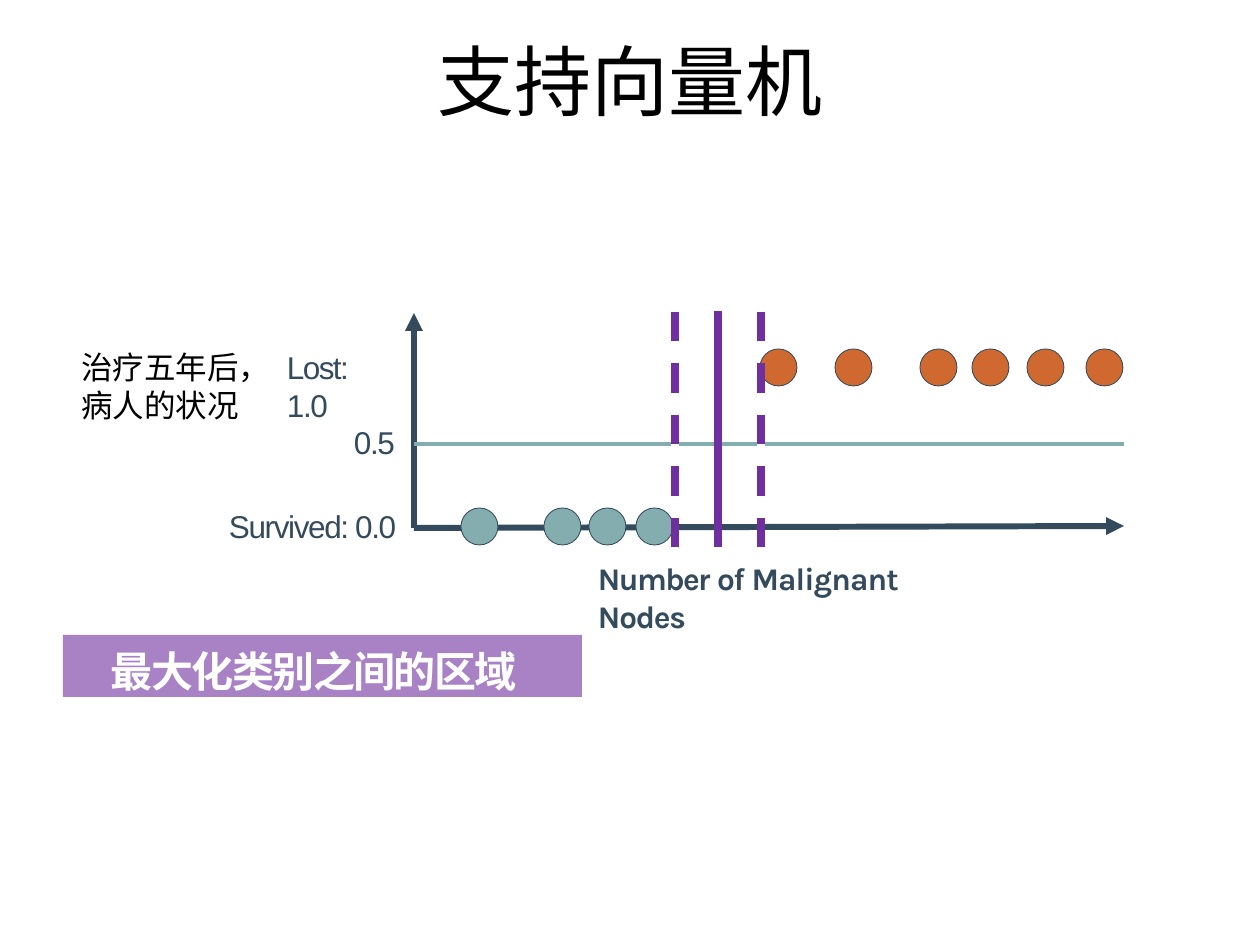
from dataclasses import dataclass

from lxml import etree
from pptx import Presentation
from pptx.dml.color import RGBColor
from pptx.enum.dml import MSO_LINE
from pptx.enum.lang import MSO_LANGUAGE_ID
from pptx.enum.shapes import MSO_CONNECTOR, MSO_SHAPE
from pptx.enum.text import MSO_ANCHOR, MSO_AUTO_SIZE, PP_ALIGN
from pptx.oxml.ns import qn
from pptx.util import Pt

PX = 914400 / 126
CENTER, LEFT = PP_ALIGN.CENTER, PP_ALIGN.LEFT
TOP, MIDDLE = MSO_ANCHOR.TOP, MSO_ANCHOR.MIDDLE
GROW = MSO_AUTO_SIZE.SHAPE_TO_FIT_TEXT
DASH = MSO_LINE.DASH
CHINESE = MSO_LANGUAGE_ID.SIMPLIFIED_CHINESE


@dataclass(frozen=True)
class Theme:
    ink: RGBColor = RGBColor(0x34, 0x4B, 0x5E)
    lost: RGBColor = RGBColor(0xD0, 0x69, 0x2F)
    survived: RGBColor = RGBColor(0x84, 0xAD, 0xAF)
    margin: RGBColor = RGBColor(0x6F, 0x2F, 0x9F)
    black: RGBColor = RGBColor(0, 0, 0)
    white: RGBColor = RGBColor(255, 255, 255)
    title_size: int = 44
    banner_size: int = 24
    label_size: int = 18
    title_font: str = "Calibri"
    heading_font: str = "Karla"
    label_font: str = "Arial"


def px(*values):
    return [round(value * PX) for value in values]


def apply(target, values):
    for name, value in values.items():
        setattr(target, name, value)


class SlideBuilder:
    def __init__(self, slide, theme):
        self.slide = slide
        self.theme = theme

    def add_runs(self, shape, runs, font, color, align=LEFT, indent=1,
                 inset_top=1, space_before=1.0):
        """Fill a shape with one paragraph of (text, letter spacing) runs."""
        frame = shape.text_frame
        apply(frame, {
            "word_wrap": True, "auto_size": GROW, "vertical_anchor": TOP,
            "margin_left": 0, "margin_right": 0, "margin_bottom": 0,
            "margin_top": px(inset_top)[0],
        })
        paragraph = frame.paragraphs[0]
        apply(paragraph, {"alignment": align, "space_before": Pt(space_before)})
        paragraph._p.get_or_add_pPr().set("marL", str(px(indent)[0]))
        for text, spacing in runs:
            run = paragraph.add_run()
            run.text = text
            apply(run.font, font)
            run.font.color.rgb = color
            run._r.get_or_add_rPr().set("spc", str(round(spacing * 100)))

    def title(self, text, box):
        title = self.slide.shapes.title
        apply(title, dict(zip(("left", "top", "width", "height"), px(*box))))
        title.text_frame.text = text
        title.text_frame.vertical_anchor = MIDDLE
        paragraph = title.text_frame.paragraphs[0]
        paragraph.alignment = CENTER
        font = paragraph.runs[0].font
        apply(font, {"name": self.theme.title_font, "size": Pt(self.theme.title_size),
                     "language_id": CHINESE})
        font.color.rgb = self.theme.black

    def label(self, box, runs, color=None, align=LEFT, **font):
        shape = self.slide.shapes.add_textbox(*px(*box))
        style = {"name": self.theme.label_font, "size": Pt(self.theme.label_size), **font}
        self.add_runs(shape, runs, style, color or self.theme.ink, align)

    def shape(self, kind, box, fill):
        shape = self.slide.shapes.add_shape(kind, *px(*box))
        shape.shadow.inherit = False
        shape.fill.solid()
        shape.fill.fore_color.rgb = fill
        return shape

    def patient(self, left, top, color):
        circle = self.shape(MSO_SHAPE.OVAL, (left, top, 37, 37), color)
        circle.line.color.rgb = self.theme.ink
        circle.line.width = Pt(0.48)

    def banner(self, box, text):
        banner = self.shape(MSO_SHAPE.RECTANGLE, box, self.theme.margin)
        banner.line.fill.background()
        color = banner._element.spPr.find(qn("a:solidFill"))[0]
        etree.SubElement(color, qn("a:alpha")).set("val", "60000")
        font = {"name": self.theme.heading_font, "size": Pt(self.theme.banner_size),
                "bold": True, "language_id": CHINESE}
        self.add_runs(banner, [(text, -0.9)], font, self.theme.white,
                      indent=48, inset_top=11, space_before=6.2)

    def line(self, start, end, color, width, dash=None, arrow=False):
        line = self.slide.shapes.add_connector(
            MSO_CONNECTOR.STRAIGHT, *px(*start, *end))
        line.line.color.rgb = color
        line.line.width = Pt(width)
        if dash:
            line.line.dash_style = dash
        properties = line._element.spPr
        if arrow:
            tail = etree.SubElement(properties.find(qn("a:ln")), qn("a:tailEnd"))
            tail.set("type", "triangle")
        etree.SubElement(properties, qn("a:effectLst"))


def main():
    presentation = Presentation()
    presentation.slide_width, presentation.slide_height = px(1260, 945)
    slide = presentation.slides.add_slide(presentation.slide_layouts[5])
    theme = Theme()
    builder = SlideBuilder(slide, theme)

    axis_x, axis_y, plot_right = 414, 528, 1124
    threshold_y = 444
    margins = (675, 718, 761)
    margin_gap = 4

    builder.title("支持向量机", (63, 1, 1134, 158))
    builder.line((axis_x, axis_y), (plot_right, 526), theme.ink, 3.4, arrow=True)
    for left in (760, 835, 920, 972, 1027, 1086):
        builder.patient(left, 349, theme.lost)
    builder.label((597, 558, 375, 40),
                  [("Number ", -0.9), ("of ", -0.8), ("Malignant ", -0.5), ("Nodes", -0.7)],
                  name=theme.heading_font, bold=True)
    builder.line((axis_x, axis_y), (axis_x, 313), theme.ink, 3.4, arrow=True)
    builder.label((77, 347, 165, 78), [("治疗五年后，病人的状况", 0)], theme.black, CENTER,
                  name=theme.heading_font, language_id=CHINESE)

    # The threshold is interrupted around each margin line.
    starts = [axis_x] + [x + margin_gap for x in margins]
    ends = [x - margin_gap for x in margins] + [plot_right]
    for start, end in zip(starts, ends):
        builder.line((start, threshold_y), (end, threshold_y), theme.survived, 2.04)

    builder.label((228, 506, 169, 41), [("Survived: 0.0", -0.8)])
    builder.label((286, 347, 111, 41), [("Lost: ", -0.9), ("1.0", -0.8)])
    for left in (461, 544, 589, 636):
        builder.patient(left, 508, theme.survived)
    builder.label((353, 422, 43, 41), [("0.5", -0.8)])
    builder.banner((63, 635, 519, 62), "最大化类别之间的区域")
    for x, dash in zip(margins, (DASH, None, DASH)):
        builder.line((x, 547), (x, 311), theme.margin, 4.2, dash)

    presentation.save("out.pptx")


if __name__ == "__main__":
    main()
